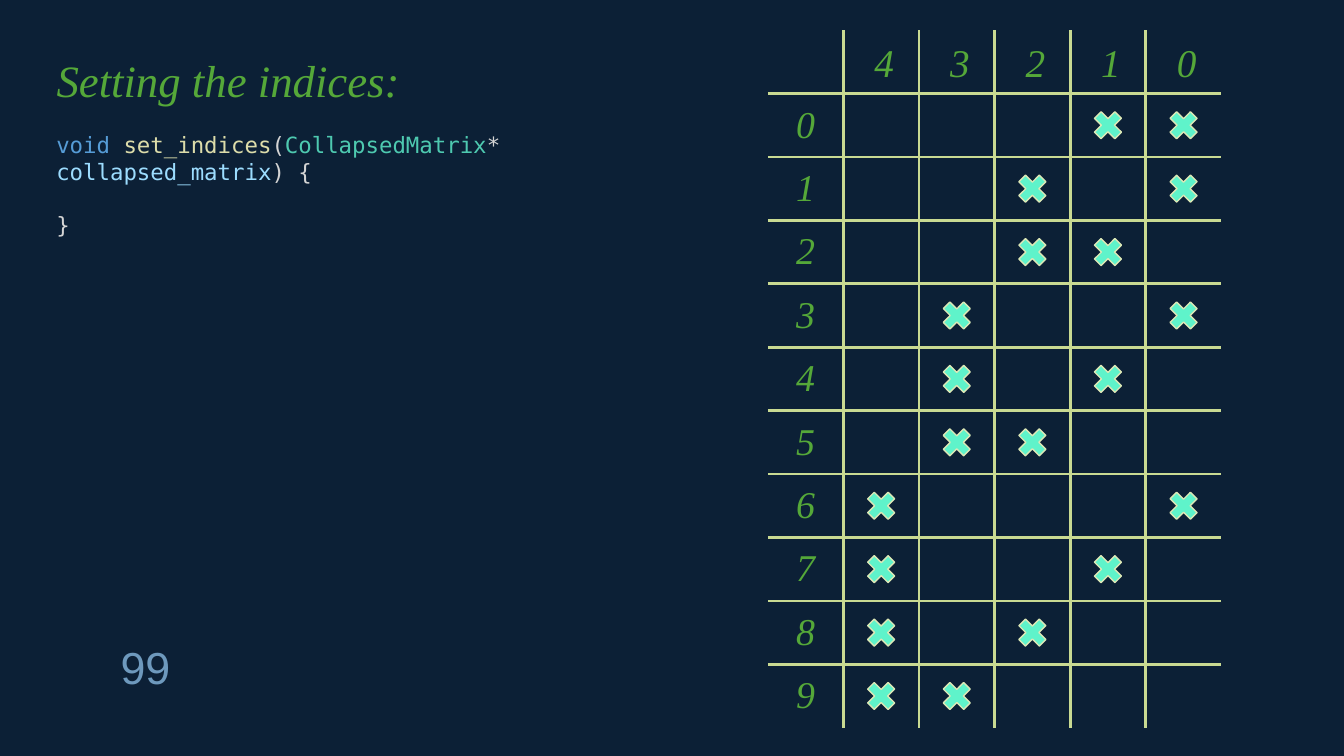
from itertools import combinations

from lxml.etree import SubElement
from pptx import Presentation
from pptx.dml.color import RGBColor
from pptx.enum.shapes import MSO_SHAPE
from pptx.enum.text import MSO_ANCHOR, PP_ALIGN
from pptx.oxml.ns import qn
from pptx.util import Cm, Pt

NAVY = RGBColor(0x0C, 0x20, 0x36)
GREEN = RGBColor(0x55, 0xA8, 0x39)
STEEL = RGBColor(0x6E, 0x99, 0xBD)
GRID = RGBColor(0xC9, 0xDA, 0x92)
MINT = RGBColor(0x5F, 0xF3, 0xCA)
MARK_EDGE = RGBColor(0xDB, 0xE7, 0xB6)
KEYWORD = RGBColor(0x56, 0x9C, 0xD6)
FUNCTION = RGBColor(0xDC, 0xDC, 0xAA)
PLAIN = RGBColor(0xD4, 0xD4, 0xD4)
TYPE = RGBColor(0x4E, 0xC9, 0xB0)
VARIABLE = RGBColor(0x9C, 0xDC, 0xFE)

SERIF, SANS, MONO = "Times New Roman", "Arial", "DejaVu Sans Mono"

# Matrix geometry in centimetres
LEFT, TOP = 19.35, 0.76
COLUMN, ROW = 1.905, 1.598
MARK = 0.99
INDICES = 5

# Every row of the matrix marks one pair of indices
PAIRS = sorted(combinations(range(INDICES), 2), key=lambda pair: pair[::-1])

CODE = [
    [("void ", KEYWORD), ("set_indices", FUNCTION), ("(", PLAIN),
     ("CollapsedMatrix", TYPE), ("* ", PLAIN), ("collapsed_matrix", VARIABLE),
     (") {", PLAIN)],
    [("}", PLAIN)],
]


def add_text(paragraph, text, *, size, font=SERIF, color=GREEN, italic=False,
             align=PP_ALIGN.LEFT):
    """Append a formatted run to a paragraph."""
    paragraph.alignment = align
    run = paragraph.add_run()
    run.text = text
    run.font.size = Pt(size)
    run.font.name = font
    run.font.italic = italic
    run.font.color.rgb = color


def column_center(index):
    """Horizontal center of an index column; indices descend to the right."""
    return LEFT + COLUMN * (INDICES - index + 0.5)


class SlideBuilder:
    def __init__(self, presentation):
        self.slide = presentation.slides.add_slide(presentation.slide_layouts[5])
        fill = self.slide.background.fill
        fill.solid()
        fill.fore_color.rgb = NAVY

    def title(self, text, left, top, width, height):
        shape = self.slide.shapes.title
        shape.left, shape.top = Cm(left), Cm(top)
        shape.width, shape.height = Cm(width), Cm(height)
        shape.text_frame.vertical_anchor = MSO_ANCHOR.TOP
        add_text(shape.text_frame.paragraphs[0], text, size=32, italic=True)

    def text_box(self, left, top, width, height, wrap=True):
        shape = self.slide.shapes.add_textbox(Cm(left), Cm(top), Cm(width), Cm(height))
        shape.text_frame.word_wrap = wrap
        return shape.text_frame

    def label(self, text, left, top, width, height, **style):
        frame = self.text_box(left, top, width, height, wrap=False)
        add_text(frame.paragraphs[0], text, **style)

    def code(self, lines, left, top, width, height):
        frame = self.text_box(left, top, width, height)
        for number, line in enumerate(lines):
            paragraph = frame.add_paragraph() if number else frame.paragraphs[0]
            paragraph.space_before = Pt(19 * number)
            for text, color in line:
                add_text(paragraph, text, size=16, font=MONO, color=color)

    def border(self, cell, side, visible):
        line = SubElement(cell._tc.get_or_add_tcPr(), qn(f"a:ln{side}"),
                          w=str(Pt(2.25)))
        if visible:
            fill = SubElement(line, qn("a:solidFill"))
            SubElement(fill, qn("a:srgbClr"), val=str(GRID))
        else:
            SubElement(line, qn("a:noFill"))

    def grid(self, rows, columns):
        """Table with inner lines only and numbered rows below the header."""
        table = self.slide.shapes.add_table(
            rows, columns, Cm(LEFT), Cm(TOP),
            Cm(COLUMN * columns), Cm(ROW * rows)).table
        table.first_row = table.horz_banding = False
        for column in table.columns:
            column.width = Cm(COLUMN)
        for row_number, row in enumerate(table.rows):
            row.height = Cm(ROW)
            for column_number, cell in enumerate(row.cells):
                self.border(cell, "L", column_number > 0)
                self.border(cell, "R", column_number < columns - 1)
                self.border(cell, "T", row_number > 0)
                self.border(cell, "B", row_number < rows - 1)
                cell.fill.background()
                cell.vertical_anchor = MSO_ANCHOR.MIDDLE
                cell.margin_left = cell.margin_right = Cm(0.18)
                cell.margin_top = cell.margin_bottom = Cm(0.1)
            if row_number:
                add_text(row.cells[0].text_frame.paragraphs[0], str(row_number - 1),
                         size=27, italic=True, align=PP_ALIGN.CENTER)

    def mark(self, index, row_number):
        left = column_center(index) - MARK / 2
        top = TOP + ROW * (row_number + 1.5) - MARK / 2
        shape = self.slide.shapes.add_shape(
            MSO_SHAPE.MATH_MULTIPLY, Cm(left), Cm(top), Cm(MARK), Cm(MARK))
        shape.shadow.inherit = False
        shape.fill.solid()
        shape.fill.fore_color.rgb = MINT
        shape.line.color.rgb = MARK_EDGE
        shape.line.width = Pt(1)


def main():
    presentation = Presentation()
    presentation.slide_width, presentation.slide_height = Cm(33.87), Cm(19.05)
    builder = SlideBuilder(presentation)

    # Heading, page number and code
    builder.title("Setting the indices:", 1.17, 1.19, 17.22, 1.63)
    builder.label("99", 2.79, 16, 1.96, 1.63, size=32, font=SANS, color=STEEL)
    builder.code(CODE, 1.17, 3.18, 17.22, 2.31)

    # Index matrix
    builder.grid(len(PAIRS) + 1, INDICES + 1)
    for row_number, pair in enumerate(PAIRS):
        for index in pair:
            builder.mark(index, row_number)

    # Column headings
    for index in range(INDICES):
        builder.label(str(index), column_center(index) - 0.42, 0.84, 0.84, 1.45,
                      size=28, italic=True, align=PP_ALIGN.CENTER)

    presentation.save("out.pptx")


if __name__ == "__main__":
    main()
